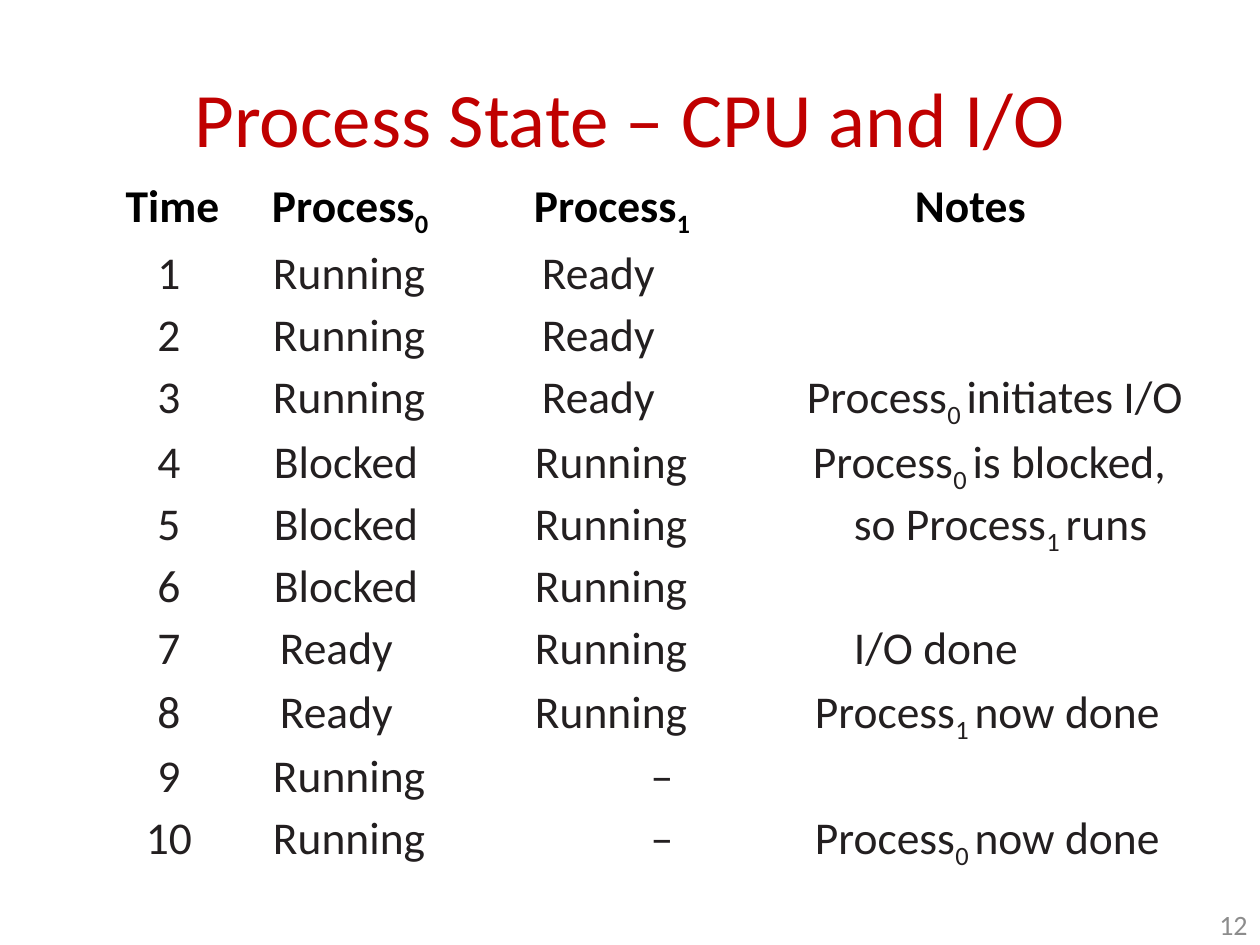
from pptx import Presentation, util as u
from pptx.dml.color import RGBColor
from pptx.enum import text as t

PX = 914400 // 126
RED = RGBColor(0xC0, 0x00, 0x00)
BLACK = RGBColor(0, 0, 0)
INK = RGBColor(0x23, 0x1F, 0x20)
GREY = RGBColor(0x8C, 0x8C, 0x8C)
WHITE = RGBColor(0xFF, 0xFF, 0xFF)

# An underscore lowers the digit that follows it.
HEAD = ("Time", "Process_0", "Process_1", "Notes")
ROWS = [
    ("1", "Running", "Ready", ""),
    ("2", "Running", "Ready", ""),
    ("3", "Running", "Ready", "Process_0 initiates I/O"),
    ("4", "Blocked", "Running", "Process_0 is blocked,"),
    ("5", "Blocked", "Running", "so Process_1 runs"),
    ("6", "Blocked", "Running", ""),
    ("7", "Ready", "Running", "I/O done"),
    ("8", "Ready", "Running", "Process_1 now done"),
    ("9", "Running", "–", ""),
    ("10", "Running", "–", "Process_0 now done"),
]
WIDTHS = (189, 262, 273, 462)
HEIGHTS = (67, 62, 62, 65, 62, 62, 62, 64, 64, 62, 62)
INDENTS = {
    "Time": 10, "Process_0": 10, "Process_1": 10, "Notes": 118,
    "Running": 11, "Blocked": 12, "Ready": 18,
    "Process_0 initiates I/O": 10, "Process_0 is blocked,": 16,
    "so Process_1 runs": 57, "I/O done": 57,
    "Process_1 now done": 18, "Process_0 now done": 18,
}
CENTRED = 3  # indent of the digits and dashes


def add_run(para, words, size, color, bold=False):
    run = para.add_run()
    run.text = words
    font = run.font
    font.name, font.size, font.bold = "Calibri", u.Pt(size), bold
    font.color.rgb = color
    return run


def add_label(slide, box, words, size, color, align):
    frame = slide.shapes.add_textbox(*(n * PX for n in box)).text_frame
    frame.word_wrap = True
    frame.vertical_anchor = t.MSO_ANCHOR.MIDDLE
    para = frame.paragraphs[0]
    para.alignment = align
    add_run(para, words, size, color)


def fill_cell(cell, words, head):
    cell.fill.solid()
    cell.fill.fore_color.rgb = WHITE
    cell.margin_left = cell.margin_right = 0
    cell.margin_top = cell.margin_bottom = 0
    if not words:
        return
    para = cell.text_frame.paragraphs[0]
    mid = words == "Time" or words not in INDENTS
    para.alignment = t.PP_ALIGN.CENTER if mid else t.PP_ALIGN.LEFT
    indent = INDENTS.get(words, CENTRED) * PX
    para._p.get_or_add_pPr().set("marL", str(indent))
    look = (26, BLACK if head else INK, head)
    base, _, tail = words.partition("_")
    add_run(para, base, *look)
    if tail:
        sub = add_run(para, tail[:2], *look)
        sub._r.get_or_add_rPr().set("baseline", "-25000")
    if tail[2:]:
        add_run(para, tail[2:], *look)


def main():
    deck = Presentation()
    deck.slide_width, deck.slide_height = 1260 * PX, 945 * PX
    slide = deck.slides.add_slide(deck.slide_layouts[6])

    add_label(slide, (998, 903, 262, 42), "12", 16, GREY, t.PP_ALIGN.RIGHT)
    add_label(slide, (63, 38, 1134, 158), "Process State – CPU and I/O",
              44, RED, t.PP_ALIGN.CENTER)

    rows = [HEAD] + ROWS
    box = (73, 179, sum(WIDTHS), sum(HEIGHTS))
    table = slide.shapes.add_table(
        len(rows), len(HEAD), *(n * PX for n in box)).table
    table.horz_banding = False
    for col, width in zip(table.columns, WIDTHS):
        col.width = width * PX
    for i, (row, height) in enumerate(zip(rows, HEIGHTS)):
        table.rows[i].height = height * PX
        for j, words in enumerate(row):
            fill_cell(table.cell(i, j), words, i == 0)

    deck.save("out.pptx")


if __name__ == "__main__":
    main()
